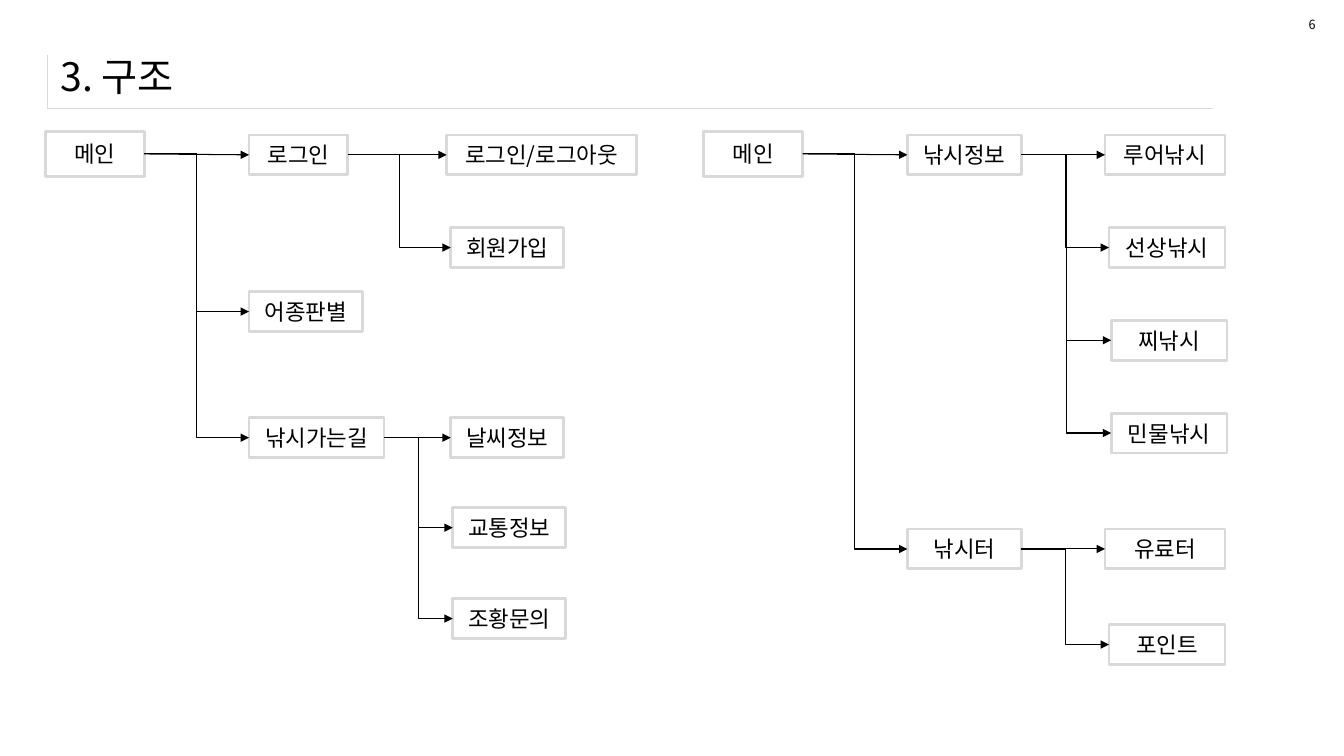
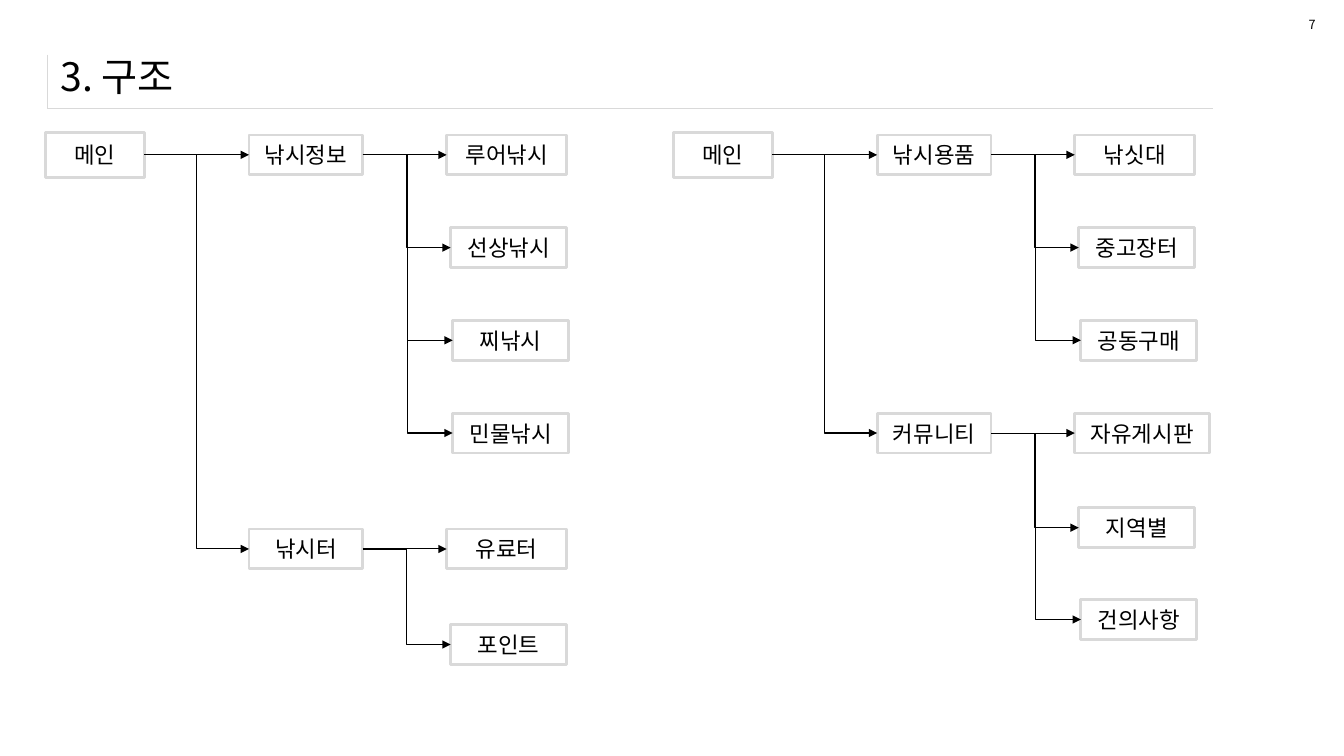
from lxml.etree import SubElement
from pptx import Presentation
from pptx.dml.color import RGBColor
from pptx.enum.shapes import MSO_CONNECTOR, MSO_SHAPE
from pptx.enum.text import MSO_ANCHOR, MSO_AUTO_SIZE, PP_ALIGN
from pptx.oxml.ns import qn
from pptx.util import Inches, Pt

# Style
BLACK = RGBColor(0x00, 0x00, 0x00)
WHITE = RGBColor(0xFF, 0xFF, 0xFF)
GRAY = RGBColor(0xD9, 0xD9, 0xD9)
FONT = "Noto Sans CJK KR"

# Grid: neighbouring leaves are one row apart
COLUMN = Inches(1)
ROW = Inches(0.92)
TREE_TOP = 1.67
BRANCH_COLUMN = 2.02
LEAF_COLUMNS = (3.98, 4.02, 4.04, 4.04)
BOX_HEIGHT = 0.43
ROOT_HEIGHT = 0.49
RIGHT_SITE, LEFT_SITE = 3, 1


def grid(left, top, width, height):
    return (int(left * COLUMN), int(top * ROW),
            int(width * COLUMN), int(height * ROW))


def write(shape, text, size=16, align=PP_ALIGN.LEFT,
          anchor=MSO_ANCHOR.TOP, wrap=True):
    frame = shape.text_frame
    frame.word_wrap = wrap
    frame.vertical_anchor = anchor
    paragraph = frame.paragraphs[0]
    paragraph.alignment = align
    run = paragraph.add_run()
    run.text = text
    run.font.size = Pt(size)
    run.font.color.rgb = BLACK
    run.font.name = FONT
    SubElement(run.font._element, qn("a:ea"), typeface=FONT)


class Deck:
    def __init__(self):
        self.presentation = Presentation()
        self.presentation.slide_width = Inches(13.33)
        self.presentation.slide_height = Inches(7.5)
        self.slide = None

    def add_slide(self, title, number):
        layout = self.presentation.slide_layouts[6]
        self.slide = self.presentation.slides.add_slide(layout)
        self.title_rule()
        self.text(title, (0.5, 0.45, 12.49, 0.73),
                  size=28, anchor=MSO_ANCHOR.MIDDLE)
        page = self.text(str(number), (12.88, 0.13, 0.27, 0.27),
                         size=9, wrap=False)
        page.text_frame.auto_size = MSO_AUTO_SIZE.SHAPE_TO_FIT_TEXT

    def title_rule(self):
        """One empty cell with a left and a bottom border."""
        frame = self.slide.shapes.add_table(
            1, 1, *grid(0.47, 0.59, 11.56, 0.58))
        frame.table.first_row = False
        frame.table.horz_banding = False
        cell = frame.table.cell(0, 0)
        properties = cell._tc.get_or_add_tcPr()
        for side in ("lnL", "lnR", "lnT", "lnB"):
            border = SubElement(properties, qn(f"a:{side}"), w=str(Pt(0.25)))
            if side in ("lnL", "lnB"):
                fill = SubElement(border, qn("a:solidFill"))
                SubElement(fill, qn("a:srgbClr"), val=str(GRAY))
            else:
                SubElement(border, qn("a:noFill"))
        cell.fill.background()

    def text(self, text, area, **style):
        shape = self.slide.shapes.add_textbox(*grid(*area))
        write(shape, text, **style)
        return shape

    def box(self, text, left, row, width, height=BOX_HEIGHT):
        """A box centred on a row of the tree."""
        top = TREE_TOP + row - height / 2
        shape = self.slide.shapes.add_shape(
            MSO_SHAPE.RECTANGLE, *grid(left, top, width, height))
        shape.shadow.inherit = False
        shape.fill.solid()
        shape.fill.fore_color.rgb = WHITE
        shape.line.color.rgb = GRAY
        shape.line.width = Pt(2)
        write(shape, text, align=PP_ALIGN.CENTER, anchor=MSO_ANCHOR.MIDDLE)
        return shape

    def arrow(self, parent, child, bent):
        kind = MSO_CONNECTOR.ELBOW if bent else MSO_CONNECTOR.STRAIGHT
        connector = self.slide.shapes.add_connector(kind, 0, 0, 0, 0)
        connector.begin_connect(parent, RIGHT_SITE)
        connector.end_connect(child, LEFT_SITE)
        connector.line.color.rgb = BLACK
        connector.line.width = Pt(0.75)
        SubElement(connector.line._get_or_add_ln(), qn("a:tailEnd"),
                   type="triangle")
        SubElement(connector._element.spPr, qn("a:effectLst"))

    def tree(self, left, branches, root_row=0):
        root = self.box("메인", left, root_row, 0.98, ROOT_HEIGHT)
        for index, (name, row, width, leaves, first) in enumerate(branches):
            branch = self.box(name, left + BRANCH_COLUMN, row, width)
            self.arrow(root, branch, bent=index > 0)
            columns = LEAF_COLUMNS[first:]
            for position, (leaf, column) in enumerate(zip(leaves, columns)):
                leaf_name, leaf_row, leaf_width = leaf
                child = self.box(leaf_name, left + column,
                                 leaf_row, leaf_width)
                self.arrow(branch, child, bent=position > 0)


# Branches: name, row, width, leaves (name, row, width), first leaf column
HOME = [
    ("로그인", 0, 0.98,
     [("로그인/로그아웃", 0, 1.88), ("회원가입", 1, 1.12)], 0),
    ("어종판별", 1.69, 1.13, [], 0),
    ("낚시가는길", 3.05, 1.34,
     [("날씨정보", 3.05, 1.12), ("교통정보", 4.02, 1.12),
      ("조황문의", 5, 1.12)], 1),
]
FISHING = [
    ("낚시정보", 0, 1.13,
     [("루어낚시", 0, 1.19), ("선상낚시", 1, 1.15),
      ("찌낚시", 2, 1.15), ("민물낚시", 3, 1.15)], 0),
    ("낚시터", 4.25, 1.13,
     [("유료터", 4.25, 1.19), ("포인트", 5.28, 1.15)], 0),
]
COMMUNITY = [
    ("낚시용품", 0, 1.13,
     [("낚싯대", 0, 1.19), ("중고장터", 1, 1.15),
      ("공동구매", 2, 1.15)], 0),
    ("커뮤니티", 3, 1.13,
     [("자유게시판", 3, 1.34), ("지역별", 4.02, 1.15),
      ("건의사항", 5.01, 1.15)], 0),
]

deck = Deck()

# Home and fishing menus
deck.add_slide("3. 구조", 6)
deck.tree(0.45, HOME, root_row=-0.01)
deck.tree(6.98, FISHING, root_row=-0.01)

# Fishing and community menus
deck.add_slide("3. 구조", 7)
deck.tree(0.45, FISHING)
deck.tree(6.68, COMMUNITY)

deck.presentation.save("out.pptx")
